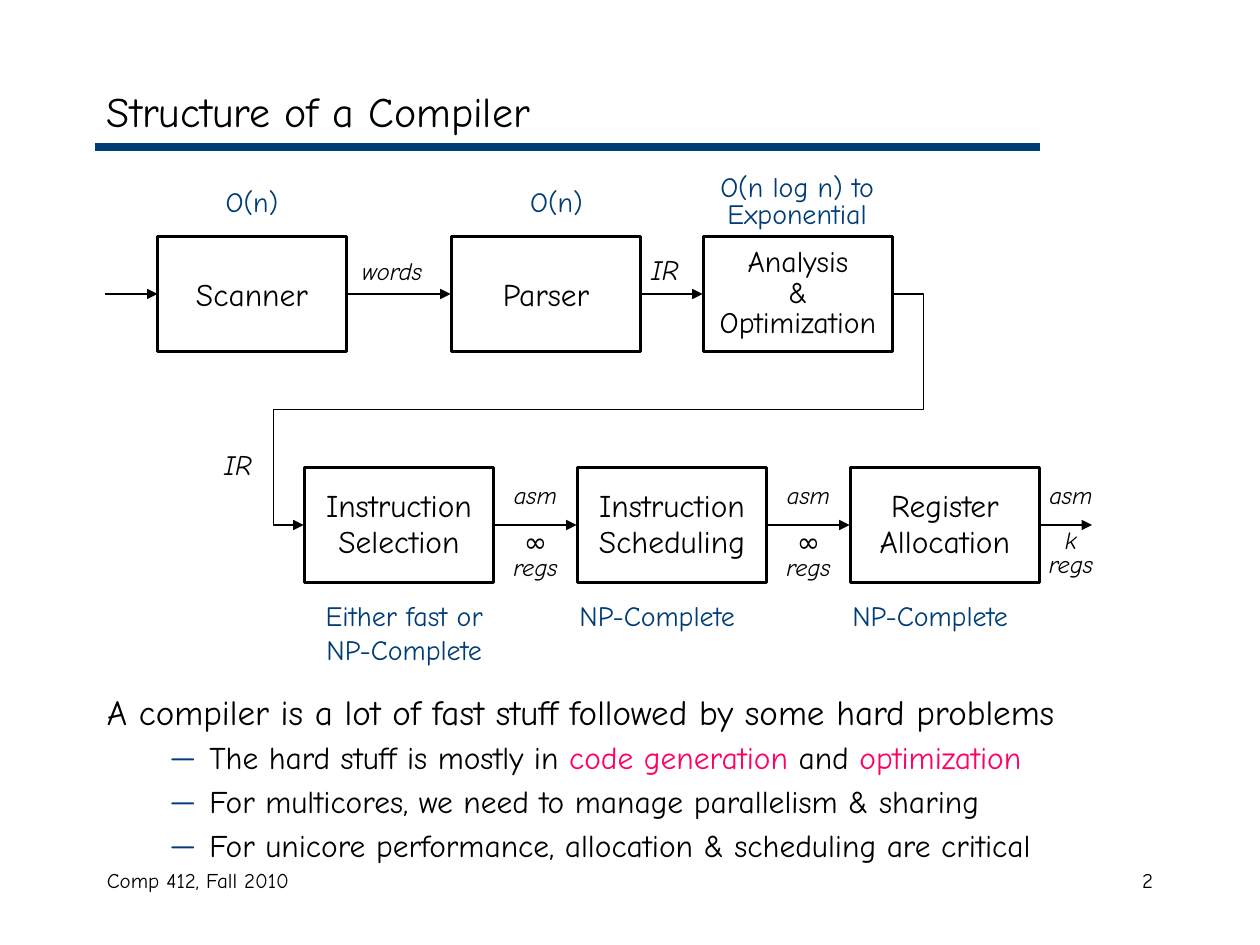
"""Build the slide on the structure of a compiler."""
from lxml.etree import SubElement
from pptx import Presentation
from pptx.dml.color import RGBColor
from pptx.enum.shapes import MSO_CONNECTOR, MSO_SHAPE
from pptx.enum.text import MSO_ANCHOR, PP_ALIGN
from pptx.oxml.ns import qn
from pptx.util import Pt

HUES = {"ink": "000000", "navy": "003C75", "pink": "FF0065"}
FONT = "Comic Neue"
LEFT, MID, RIGHT = PP_ALIGN.LEFT, PP_ALIGN.CENTER, PP_ALIGN.RIGHT

deck = Presentation()
deck.slide_width, deck.slide_height = Pt(720), Pt(540)
shapes = deck.slides.add_slide(deck.slide_layouts[6]).shapes


def write(shape, rows, align=MID, pitch=None, slant=False):
    frame = shape.text_frame
    for i, row in enumerate(rows):
        para = frame.paragraphs[0] if i == 0 else frame.add_paragraph()
        para.alignment = align
        if pitch:
            para.line_spacing = pitch
        for words, size, hue in row:
            run = para.add_run()
            run.text = words
            font = run.font
            font.name, font.size = FONT, Pt(size)
            font.color.rgb = RGBColor.from_string(HUES[hue])
            if slant:
                font.italic = True
    return frame


def link(x1, y1, x2, y2, hue="ink", width=1, head=True, kind=MSO_CONNECTOR.STRAIGHT):
    line = shapes.add_connector(kind, Pt(x1), Pt(y1), Pt(x2), Pt(y2))
    line.line.color.rgb = RGBColor.from_string(HUES[hue])
    line.line.width = Pt(width)
    props = line._element.spPr
    if head:
        SubElement(props.find(qn("a:ln")), qn("a:tailEnd"), type="triangle")
    SubElement(props, qn("a:effectLst"))
    return props


link(54, 84, 594, 84, "navy", 4.5, False)

title = shapes.add_textbox(Pt(54), Pt(42), Pt(612), Pt(42))
write(title, [[("Structure of a Compiler", 24, "ink")]], LEFT)
title.text_frame.vertical_anchor = MSO_ANCHOR.MIDDLE

for x, width, words, align in [
    (54, 228, "Comp 412, Fall 2010", LEFT),
    (516, 150, "2", RIGHT),
]:
    foot = shapes.add_textbox(Pt(x), Pt(492), Pt(width), Pt(36))
    write(foot, [[(words, 12, "ink")]], align).word_wrap = True

body = shapes.add_textbox(Pt(54), Pt(391), Pt(624), Pt(102))
frame = write(body, [
    [("A compiler is a lot of fast stuff followed by some hard problems", 20, "ink")],
    [("The hard stuff is mostly in ", 18, "ink"), ("code generation", 18, "pink"),
     (" and ", 18, "ink"), ("optimization", 18, "pink")],
    [("For multicores, we need to manage parallelism & sharing", 18, "ink")],
    [("For unicore performance, allocation & scheduling are critical", 18, "ink")],
], LEFT)
frame.word_wrap = True
for para in frame.paragraphs[1:]:
    para.space_before = Pt(3.4)
    props = para._p.get_or_add_pPr()
    props.set("marL", str(Pt(58.5)))
    props.set("indent", str(Pt(-22.5)))
    tint = SubElement(props, qn("a:buClr"))
    SubElement(tint, qn("a:srgbClr"), val=HUES["navy"])
    SubElement(props, qn("a:buFont"), typeface=FONT)
    SubElement(props, qn("a:buChar"), char="—")

WIDE, HIGH = 108, 66
TOP, LOW = 135, 267
for x, y, rows, size, pitch in [
    (90, TOP, ["Scanner"], 18, None),
    (258, TOP, ["Parser"], 18, None),
    (402, TOP, ["Analysis", "&", "Optimization"], 17, 0.85),
    (174, LOW, ["Instruction", "Selection"], 18, 0.95),
    (330, LOW, ["Instruction", "Scheduling"], 18, 0.95),
    (486, LOW, ["Register", "Allocation"], 18, 0.95),
]:
    box = shapes.add_shape(MSO_SHAPE.RECTANGLE, Pt(x), Pt(y), Pt(WIDE), Pt(HIGH))
    box.shadow.inherit = False
    box.fill.background()
    box.line.color.rgb = RGBColor.from_string(HUES["ink"])
    box.line.width = Pt(1.5)
    frame = write(box, [[(row, size, "ink")] for row in rows], MID, pitch)
    frame.word_wrap = False
    frame.vertical_anchor = MSO_ANCHOR.MIDDLE

for y, spans in [
    (TOP, [(60, 90), (198.5, 257.5), (366.5, 401.5)]),
    (LOW, [(282.5, 329.5), (438.5, 485.5), (594, 624)]),
]:
    for start, end in spans:
        link(start, y + HIGH / 2, end, y + HIGH / 2)

bend = link(510.5, TOP + HIGH / 2, 173.5, LOW + HIGH / 2, kind=MSO_CONNECTOR.ELBOW)
geom = bend.find(qn("a:prstGeom"))
geom.set("prst", "bentConnector5")
guides = geom.find(qn("a:avLst"))
for i, part in enumerate([-5100, 50000, 105100], 1):
    SubElement(guides, qn("a:gd"), name=f"adj{i}", fmla=f"val {part}")

for x, y, width, high, rows, size, align, pitch in [
    (374.5, 97, 162, 38, ["O(n log n) to Exponential"], 16, MID, 0.8),
    (273, 102, 90, 27, ["O(n)"], 16, MID, None),
    (99, 102, 90, 27, ["O(n)"], 16, MID, None),
    (324, 338.5, 120, 27, ["NP-Complete"], 16, LEFT, None),
    (480, 338.5, 120, 27, ["NP-Complete"], 16, LEFT, None),
    (162, 338.5, 138, 46, ["Either fast or", "NP-Complete"], 16, MID, None),
]:
    note = shapes.add_textbox(Pt(x), Pt(y), Pt(width), Pt(high))
    frame = write(note, [[(row, size, "navy")] for row in rows], align, pitch)
    frame.word_wrap = True

tags = [
    (200, 142.5, 60, 24, [("words", 14)], LEFT, None),
    (365, 141, 42, 27, [("IR", 16)], LEFT, None),
    (121, 252, 42, 27, [("IR", 16)], LEFT, None),
]
for x, sign, size in [(282, "∞", 16), (438, "∞", 16), (588, "k", 14)]:
    tags.append((x, 270.5, 48, 24, [("asm", 14)], MID, None))
    tags.append((x, 300, 48, 36, [(sign, size), ("regs", 14)], MID, 0.8))
for x, y, width, high, rows, align, pitch in tags:
    tag = shapes.add_textbox(Pt(x), Pt(y), Pt(width), Pt(high))
    frame = write(tag, [[(*row, "ink")] for row in rows], align, pitch, True)
    frame.word_wrap = True

deck.save("out.pptx")
